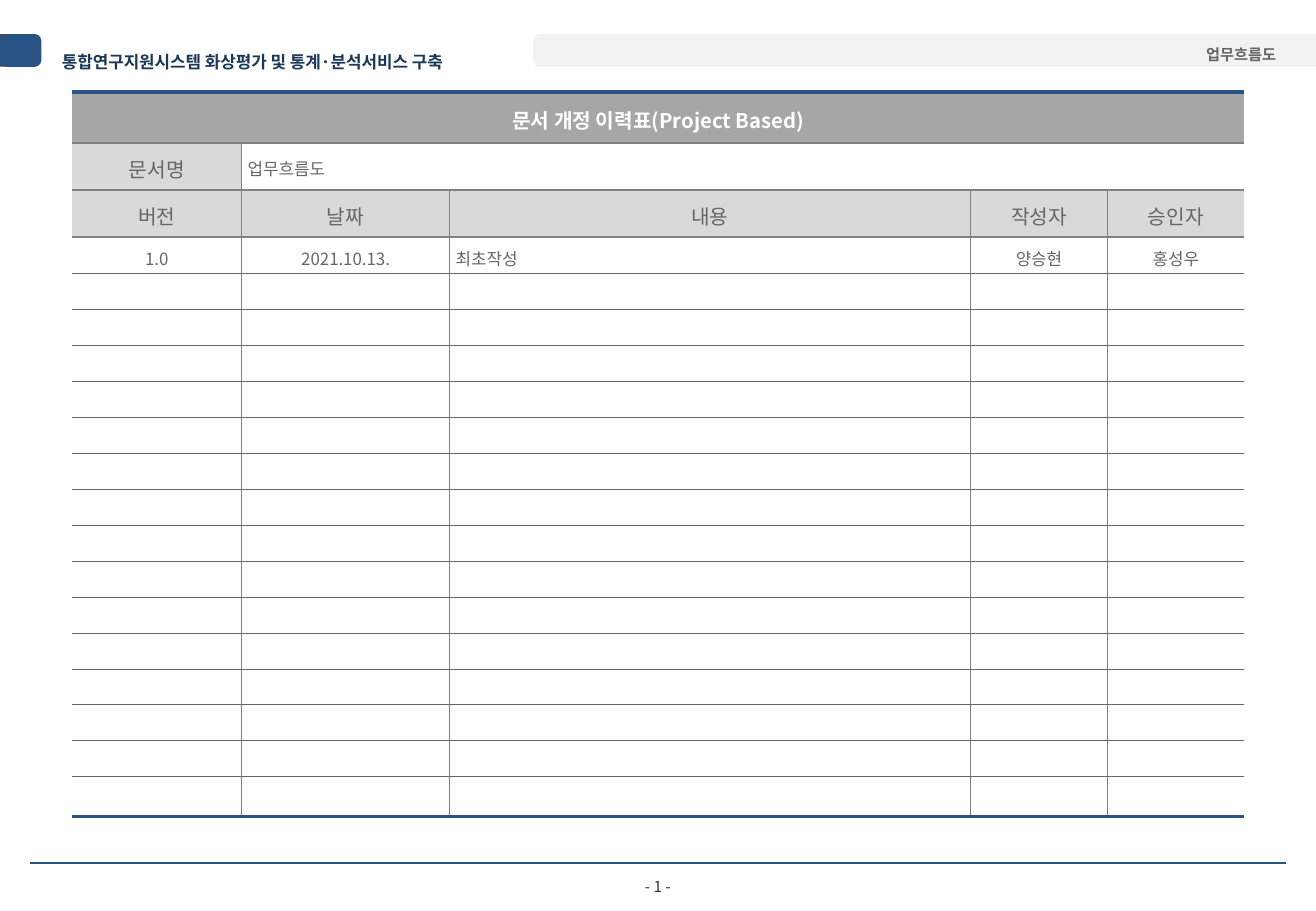
"""Build the document revision history slide."""
import itertools
from dataclasses import dataclass
from typing import Any, Optional

import lxml.etree
import pptx
import pptx.dml.color
import pptx.enum.shapes
import pptx.enum.text
import pptx.oxml.ns
import pptx.util

Pt = pptx.util.Pt
qn = pptx.oxml.ns.qn
ALIGN = pptx.enum.text.PP_ALIGN
ANCHOR = pptx.enum.text.MSO_ANCHOR
SHAPE = pptx.enum.shapes.MSO_SHAPE


@dataclass(frozen=True)
class Theme:
    font: str = "Noto Sans CJK KR"
    blue: str = "2A5385"
    slate: str = "454861"
    navy: str = "1C3858"
    band: str = "F2F2F2"
    title_fill: str = "A6A6A6"
    label_fill: str = "D9D9D9"
    white: str = "FFFFFF"
    body: str = "666666"
    footer: str = "333333"
    grid: str = "808080"
    label_size: float = 12
    text_size: float = 10
    small_size: float = 9


THEME = Theme()
NO_GRID_STYLE = "{2D5ABB26-0587-4C30-8999-92F81FD0307C}"


@dataclass(frozen=True)
class Bar:
    left: float
    width: float
    fill: str
    corner: Optional[float] = None


@dataclass(frozen=True)
class TextStyle:
    size: float = THEME.text_size
    color: str = THEME.body
    bold: bool = False
    align: Any = ALIGN.CENTER
    spacing: float = 1.15
    anchor: Any = ANCHOR.MIDDLE
    side: float = 3.6
    top: float = 0
    fill: Optional[str] = None


@dataclass(frozen=True)
class Border:
    color: str
    width: float


TITLE = TextStyle(size=THEME.label_size, color=THEME.white, bold=True, fill=THEME.title_fill)
LABEL = TextStyle(size=THEME.label_size, fill=THEME.label_fill)
DOCUMENT_NAME = TextStyle(align=ALIGN.LEFT)
ENTRY = TextStyle(anchor=ANCHOR.TOP, top=2.9)
ENTRY_DETAIL = TextStyle(align=ALIGN.JUSTIFY, anchor=ANCHOR.TOP, top=2.9)
PROJECT = TextStyle(color=THEME.navy, bold=True, align=ALIGN.LEFT, spacing=1.6, side=5)
SECTION = TextStyle(size=THEME.small_size, bold=True, align=ALIGN.RIGHT, spacing=1, side=5)
PAGE = TextStyle(size=THEME.small_size, color=THEME.footer, spacing=1, side=0)

HEADER_TOP, HEADER_HEIGHT = 20.2, 19.4
HEADER_BARS = [
    Bar(0, 6.5, THEME.slate),
    Bar(0, 24.5, THEME.blue, 0.197),
    Bar(345, 435, THEME.band),
    Bar(316, 35.3, THEME.band, 0.177),
]
COLUMN_WIDTHS = [100.5, 123.3, 308.8, 81.1, 81.1]
ROW_HEIGHTS = [30.2, 27.9, 27.9] + [21.34] * 15 + [23.6]
HISTORY = [
    ["문서 개정 이력표(Project Based)"],
    ["문서명", "업무흐름도"],
    ["버전", "날짜", "내용", "작성자", "승인자"],
    ["1.0", "2021.10.13.", "최초작성", "양승현", "홍성우"],
]
HISTORY_STYLES = [
    [TITLE] * 5,
    [LABEL] + [DOCUMENT_NAME] * 4,
    [LABEL] * 5,
    [ENTRY, ENTRY, ENTRY_DETAIL, ENTRY, ENTRY],
]


def rgb(color: str) -> pptx.dml.color.RGBColor:
    return pptx.dml.color.RGBColor.from_string(color)


def write(paragraph: Any, text: str, style: TextStyle) -> None:
    paragraph.alignment = style.align
    paragraph.line_spacing = style.spacing
    if not text:
        end = lxml.etree.SubElement(paragraph._p, qn("a:endParaRPr"))
        end.set("sz", str(int(style.size * 100)))
        return
    run = paragraph.add_run()
    run.text = text
    font_format = {"name": THEME.font, "size": Pt(style.size), "bold": style.bold}
    for attribute, value in font_format.items():
        setattr(run.font, attribute, value)
    run.font.color.rgb = rgb(style.color)
    east_asian = lxml.etree.SubElement(run.font._element, qn("a:ea"))
    east_asian.set("typeface", THEME.font)


def fill_cell(cell: Any, text: str, style: TextStyle) -> None:
    cell_format = {
        "margin_left": Pt(style.side),
        "margin_right": Pt(style.side),
        "margin_top": Pt(style.top),
        "margin_bottom": Pt(0),
        "vertical_anchor": style.anchor,
    }
    for attribute, value in cell_format.items():
        setattr(cell, attribute, value)
    write(cell.text_frame.paragraphs[0], text, style)
    if style.fill:
        cell.fill.solid()
        cell.fill.fore_color.rgb = rgb(style.fill)
    else:
        cell.fill.background()


def set_border(cell: Any, side: str, border: Optional[Border]) -> None:
    line = lxml.etree.SubElement(cell._tc.get_or_add_tcPr(), qn(f"a:ln{side}"))
    if border is None:
        lxml.etree.SubElement(line, qn("a:noFill"))
        return
    line.set("w", str(Pt(border.width)))
    solid = lxml.etree.SubElement(line, qn("a:solidFill"))
    lxml.etree.SubElement(solid, qn("a:srgbClr")).set("val", border.color)


def add_plain_table(slide: Any, left: float, top: float,
                    widths: list[float], heights: list[float]) -> Any:
    table = slide.shapes.add_table(
        len(heights), len(widths), Pt(left), Pt(top), Pt(sum(widths)), Pt(sum(heights))
    ).table
    table.first_row = table.horz_banding = False
    table._tbl.tblPr.find(qn("a:tableStyleId")).text = NO_GRID_STYLE
    for column, width in zip(table.columns, widths):
        column.width = Pt(width)
    for row, height in zip(table.rows, heights):
        row.height = Pt(height)
    return table


def row_border(edge: int) -> Border:
    if edge in (0, len(ROW_HEIGHTS)):
        return Border(THEME.blue, 2.25)
    return Border(THEME.grid, 1) if edge <= 3 else Border(THEME.body, 0.25)


def column_border(row: int, edge: int) -> Optional[Border]:
    divided = 0 < edge < len(COLUMN_WIDTHS) and (row >= 2 or (row == 1 and edge == 1))
    return Border(THEME.grid, 1) if divided else None


def add_history(slide: Any) -> None:
    history = add_plain_table(slide, 42.7, 54.6, COLUMN_WIDTHS, ROW_HEIGHTS)
    for row, first_column in enumerate((0, 1)):
        history.cell(row, first_column).merge(history.cell(row, 4))
    for row, column in itertools.product(range(len(ROW_HEIGHTS)), range(len(COLUMN_WIDTHS))):
        cell = history.cell(row, column)
        borders = {
            "L": column_border(row, column),
            "R": column_border(row, column + 1),
            "T": row_border(row),
            "B": row_border(row + 1),
        }
        for side, border in borders.items():
            set_border(cell, side, border)
        texts = HISTORY[row] if row < len(HISTORY) else []
        style = HISTORY_STYLES[row][column] if row < len(HISTORY) else ENTRY
        fill_cell(cell, texts[column] if column < len(texts) else "", style)


def add_bar(slide: Any, bar: Bar) -> None:
    kind = SHAPE.RECTANGLE if bar.corner is None else SHAPE.ROUNDED_RECTANGLE
    shape = slide.shapes.add_shape(
        kind, Pt(bar.left), Pt(HEADER_TOP), Pt(bar.width), Pt(HEADER_HEIGHT))
    if bar.corner is not None:
        shape.adjustments[0] = bar.corner
    shape.shadow.inherit = False
    shape.fill.solid()
    shape.fill.fore_color.rgb = rgb(bar.fill)
    shape.line.fill.background()


def add_header(slide: Any) -> None:
    for bar in HEADER_BARS:
        add_bar(slide, bar)
    header = add_plain_table(slide, 31.7, HEADER_TOP, [364.8] * 2, [HEADER_HEIGHT])
    fill_cell(header.cell(0, 0), "통합연구지원시스템 화상평가 및 통계·분석서비스 구축", PROJECT)
    fill_cell(header.cell(0, 1), "업무흐름도", SECTION)


def add_footer(slide: Any) -> None:
    rule = slide.shapes.add_connector(
        pptx.enum.shapes.MSO_CONNECTOR.STRAIGHT, Pt(18), Pt(511.5), Pt(762.2), Pt(511.5))
    rule.line.color.rgb = rgb(THEME.blue)
    rule.line.width = Pt(1.5)
    lxml.etree.SubElement(rule._element.spPr, qn("a:effectLst"))
    page = slide.shapes.add_textbox(Pt(365.8), Pt(517), Pt(48.2), Pt(17.3)).text_frame
    frame_format = {"word_wrap": True, "vertical_anchor": PAGE.anchor, "margin_left": 0,
                    "margin_right": 0, "margin_top": 0, "margin_bottom": 0}
    for attribute, value in frame_format.items():
        setattr(page, attribute, value)
    write(page.paragraphs[0], "- 1 -", PAGE)


def main() -> None:
    deck = pptx.Presentation()
    deck.slide_width, deck.slide_height = Pt(780), Pt(540)
    slide = deck.slides.add_slide(deck.slide_layouts[6])
    add_header(slide)
    add_footer(slide)
    add_history(slide)
    deck.save("out.pptx")


if __name__ == "__main__":
    main()
